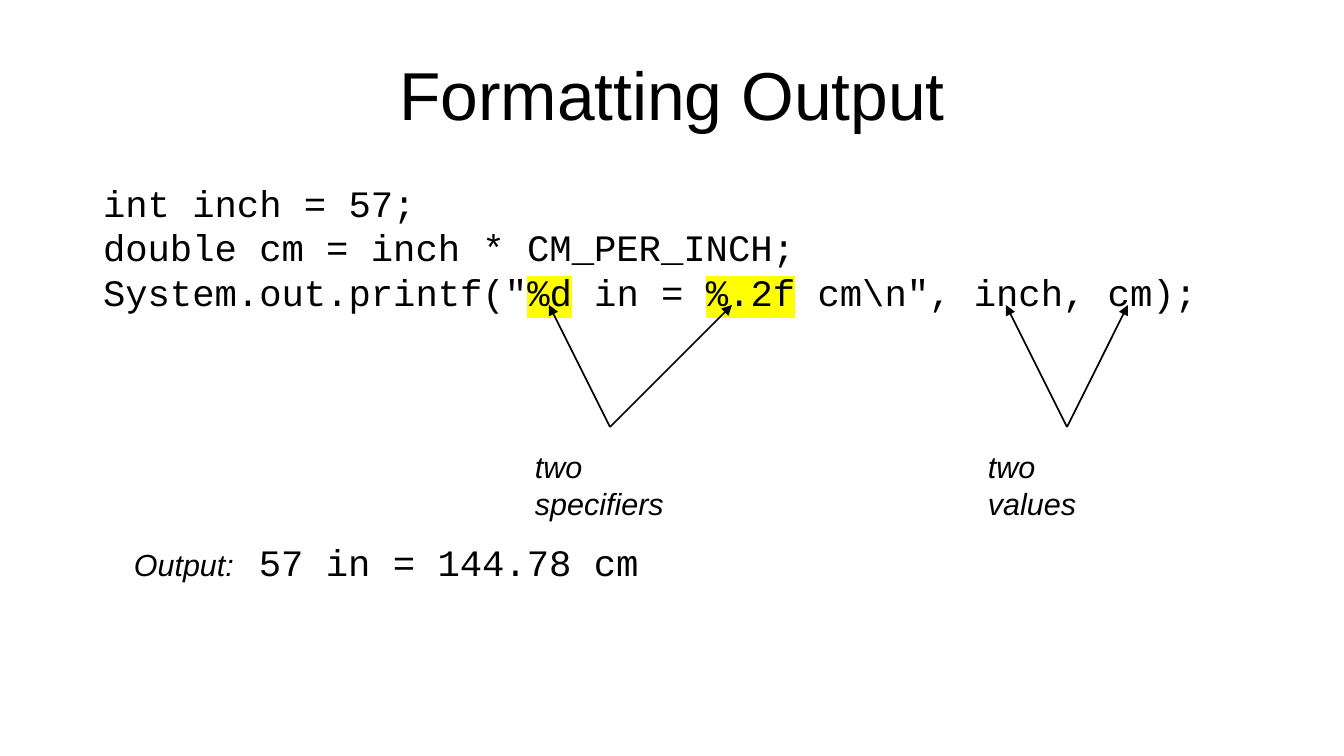
from lxml import etree
from pptx import Presentation
from pptx.dml.color import RGBColor
from pptx.enum.shapes import MSO_CONNECTOR
from pptx.enum.text import MSO_ANCHOR, PP_ALIGN
from pptx.oxml.ns import qn
from pptx.util import Pt

PX = 914400 / 122
LINE = MSO_CONNECTOR.STRAIGHT
MID, TOP = MSO_ANCHOR.MIDDLE, MSO_ANCHOR.TOP
MIDST, LEFT = PP_ALIGN.CENTER, PP_ALIGN.LEFT
COLORS = {"ink": "000000", "mark": "FFFF00"}

# style: font, size, italic, marked
STYLES = {
    "title": ("Arial", 40, False, False),
    "code": ("Courier New", 22, False, False),
    "spec": ("Courier New", 22, False, True),
    "note": ("Arial", 18, True, False),
}
TITLE = [[("Formatting Output", "title")]]
CODE = [
    [("int inch = 57;", "code")],
    [("double cm = inch * CM_PER_INCH;", "code")],
    [('System.out.printf("', "code"), ("%d", "spec"), (" in = ", "code"),
     ("%.2f", "spec"), (' cm\\n", inch, cm);', "code")],
]
OUTPUT = [[("Output:\t", "note"), ("57 in = 144.78 cm", "code")]]

# label, box left, box width, arrow start, arrow tips
NOTES = [
    ("two specifiers", 523, 200, 610, (549, 732)),
    ("two values", 976, 160, 1067, (1006, 1128)),
]
TIP_Y, START_Y, NOTE_Y = 305, 427, 442
OUT_TAB = 125


def px(num):
    """Turn pixels into EMU."""
    return int(num * PX)


def add_run(para, words, style):
    """Add one styled run to a paragraph."""
    face, size, slant, marked = STYLES[style]
    run = para.add_run()
    run.text = words
    font = run.font
    font.name, font.size, font.italic = face, Pt(size), slant
    font.color.rgb = RGBColor.from_string(COLORS["ink"])
    if marked:
        light = etree.Element(qn("a:highlight"))
        etree.SubElement(light, qn("a:srgbClr"), val=COLORS["mark"])
        font.fill._xPr.find(qn("a:solidFill")).addnext(light)


def add_text(slide, box, rows, pad=(12, 6), anchor=TOP, align=LEFT):
    """Add a text box with one paragraph per row and return its frame."""
    frame = slide.shapes.add_textbox(*map(px, box)).text_frame
    frame.word_wrap = True
    frame.vertical_anchor = anchor
    frame.margin_left = frame.margin_right = px(pad[0])
    frame.margin_top = frame.margin_bottom = px(pad[1])
    for at, row in enumerate(rows):
        para = frame.add_paragraph() if at else frame.paragraphs[0]
        para.alignment = align
        for words, style in row:
            add_run(para, words, style)
    return frame


def add_tab(para, stop):
    """Set one left tab stop on a paragraph."""
    tabs = etree.SubElement(para._p.get_or_add_pPr(), qn("a:tabLst"))
    etree.SubElement(tabs, qn("a:tab"), pos=str(px(stop)), algn="l")


def add_arrow(slide, start, tip):
    """Draw a thin arrow from start to tip."""
    arrow = slide.shapes.add_connector(LINE, *map(px, start + tip))
    arrow.line.width = Pt(1)
    arrow.line.color.rgb = RGBColor.from_string(COLORS["ink"])
    etree.SubElement(arrow.line._get_or_add_ln(), qn("a:tailEnd"), type="triangle")
    etree.SubElement(arrow._element.spPr, qn("a:effectLst"))


def build():
    """Build and save the slide."""
    deck = Presentation()
    deck.slide_width, deck.slide_height = px(1344), px(756)
    slide = deck.slides.add_slide(deck.slide_layouts[6])
    add_text(slide, (67, 30, 1210, 127), TITLE, (0, 0), MID, MIDST)
    add_text(slide, (91, 174, 1190, 161), CODE)
    for label, left, width, start, tips in NOTES:
        for tip in tips:
            add_arrow(slide, (start, START_Y), (tip, TIP_Y))
        add_text(slide, (left, NOTE_Y, width, 46), [[(label, "note")]])
    frame = add_text(slide, (122, 533, 530, 54), OUTPUT)
    add_tab(frame.paragraphs[0], OUT_TAB)
    deck.save("out.pptx")


build()
